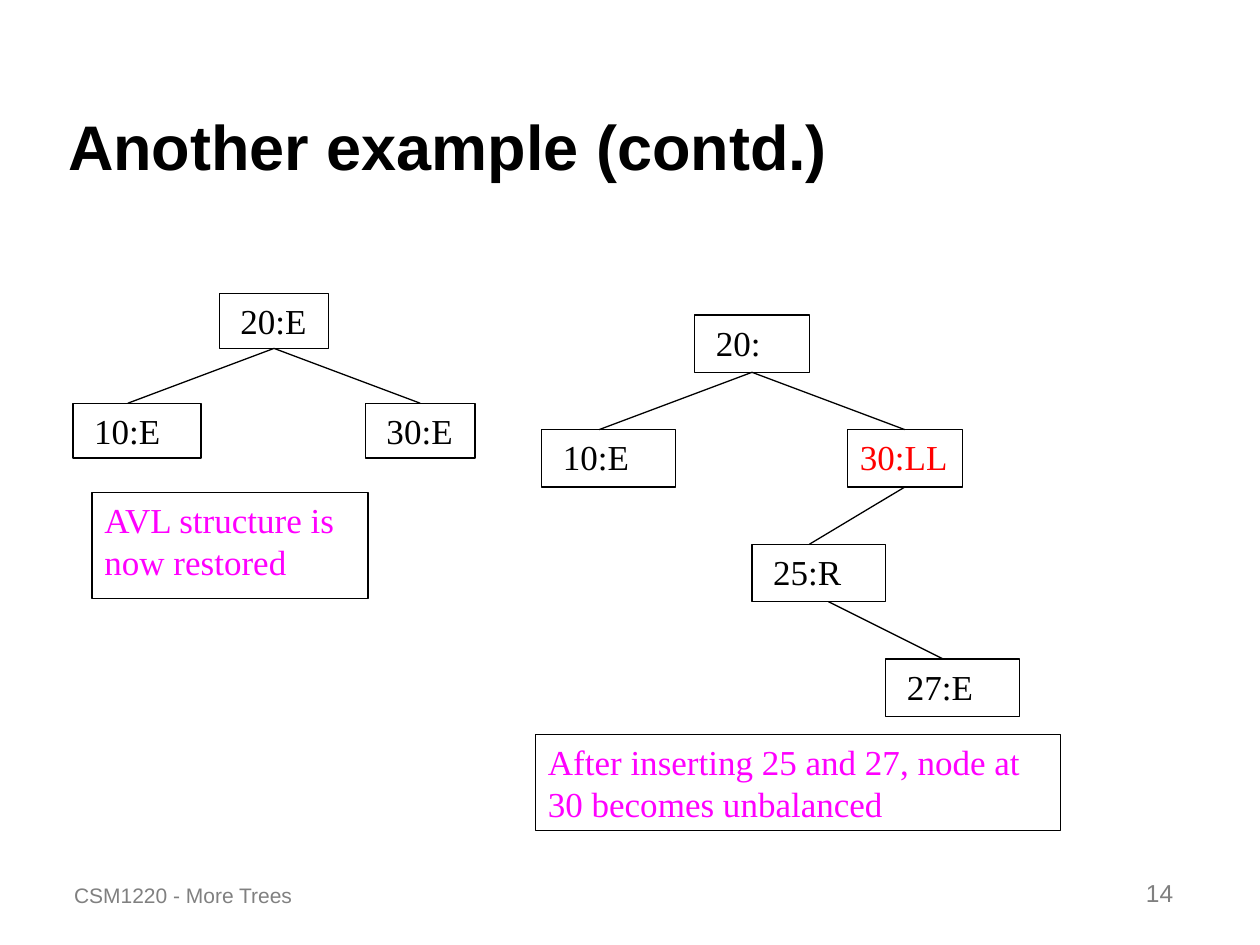
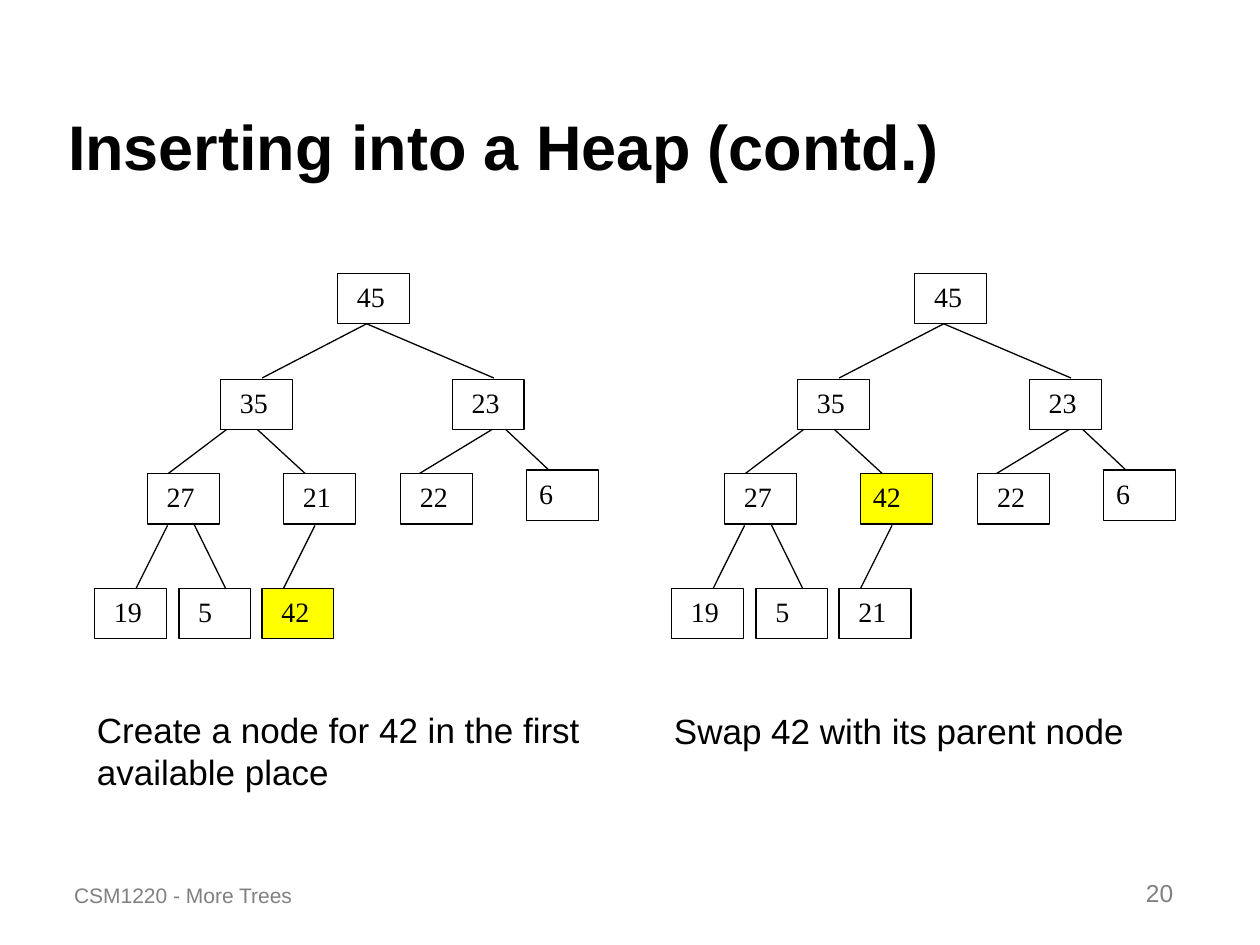
import pptx
import pptx.dml.color
import pptx.enum.shapes
import pptx.enum.text
import pptx.oxml
import pptx.oxml.ns
import pptx.util
from typing import Any, NamedTuple

RGB = pptx.dml.color.RGBColor
BLACK = RGB(0x00, 0x00, 0x00)
WHITE = RGB(0xFF, 0xFF, 0xFF)
GREY = RGB(0x80, 0x80, 0x80)
RED = RGB(0xFF, 0x00, 0x00)
PINK = RGB(0xFF, 0x00, 0xFF)
YELLOW = RGB(0xFF, 0xFF, 0x00)

WIDTH, HEIGHT = pptx.util.Inches(10), pptx.util.Inches(7.5)
COLS, ROWS = 100, 75
EDGE = pptx.util.Pt(0.75)

Anchor = pptx.enum.text.MSO_ANCHOR
Align = pptx.enum.text.PP_ALIGN
Fit = pptx.enum.text.MSO_AUTO_SIZE
TITLE = {"name": "Arial", "size": pptx.util.Pt(36), "bold": True}
NOTE = {"name": "Arial", "size": pptx.util.Pt(20)}
FOOT = {"name": "Arial", "size": pptx.util.Pt(12)}
PAGE = {"name": "Arial", "size": pptx.util.Pt(14)}
LARGE = {"name": "Times New Roman", "size": pptx.util.Pt(20)}
SMALL = {"name": "Times New Roman", "size": pptx.util.Pt(16)}


class Area(NamedTuple):
    """Place and size in columns and rows of the slide grid."""
    col: float
    row: float
    wide: float
    high: float


class Node(NamedTuple):
    """AVL node: column and width in cells, a cell being a third of its height."""
    text: str
    col: int
    level: int
    wide: int = 6
    ink: RGB = BLACK


class Link(NamedTuple):
    top: int
    low: int
    start: int = 3


class Line(NamedTuple):
    col1: float
    row1: float
    col2: float
    row2: float


class Item(NamedTuple):
    """Heap node, placed by its top left corner."""
    text: str
    col: float
    row: float
    fill: RGB = WHITE


def across(col: float) -> int:
    return round(WIDTH * col / COLS)


def down(row: float) -> int:
    return round(HEIGHT * row / ROWS)


def lengths(area: Area) -> tuple[int, int, int, int]:
    return across(area.col), down(area.row), across(area.wide), down(area.high)


def assign(target: Any, values: dict[str, Any]) -> None:
    for key, value in values.items():
        setattr(target, key, value)


def write(shape: Any, text: str, font: dict[str, Any], ink: RGB = BLACK,
          anchor: Any = Anchor.TOP, align: Any = Align.LEFT,
          gap: float = 0, fit: Any = Fit.NONE) -> None:
    frame = shape.text_frame
    assign(frame, {"word_wrap": True, "auto_size": fit,
                   "vertical_anchor": anchor})
    para = frame.paragraphs[0]
    assign(para, {"alignment": align, "space_before": pptx.util.Pt(gap)})
    run = para.add_run()
    run.text = text
    assign(run.font, font)
    run.font.color.rgb = ink


def label(slide: Any, area: Area, text: str, font: dict[str, Any],
          **looks: Any) -> None:
    write(slide.shapes.add_textbox(*lengths(area)), text, font, **looks)


def box(slide: Any, area: Area, text: str, font: dict[str, Any],
        ink: RGB = BLACK, fill: RGB = WHITE) -> Any:
    kind = pptx.enum.shapes.MSO_SHAPE.RECTANGLE
    shape = slide.shapes.add_shape(kind, *lengths(area))
    shape.shadow.inherit = False
    shape.fill.solid()
    shape.fill.fore_color.rgb = fill
    shape.line.color.rgb = BLACK
    shape.line.width = EDGE
    write(shape, text, font, ink)
    return shape


def draw(slide: Any, line: Line) -> Any:
    kind = pptx.enum.shapes.MSO_CONNECTOR.STRAIGHT
    edge = slide.shapes.add_connector(
        kind, across(line.col1), down(line.row1),
        across(line.col2), down(line.row2))
    edge.line.color.rgb = BLACK
    edge.line.width = EDGE
    plain = pptx.oxml.parse_xml(
        f"<a:effectLst {pptx.oxml.ns.nsdecls('a')}/>")
    edge._element.spPr.append(plain)
    return edge


def start(deck: Any, title: str, page: int) -> Any:
    """Add a slide with its title, footer and page number."""
    slide = deck.slides.add_slide(deck.slide_layouts[5])
    head = slide.shapes.title
    keys = ("left", "top", "width", "height")
    assign(head, dict(zip(keys, lengths(Area(4.4, 2.5, 90.6, 12.5)))))
    write(head, title, TITLE, anchor=Anchor.BOTTOM)
    label(slide, Area(4.9, 67.5, 30, 5), "CSM1220 - More Trees", FOOT,
          ink=GREY, anchor=Anchor.BOTTOM, gap=7.5)
    label(slide, Area(73.3, 67.5, 20.8, 5), str(page), PAGE,
          ink=GREY, anchor=Anchor.BOTTOM, align=Align.RIGHT, gap=8.8)
    return slide


def avl(slide: Any, left: float, top: float, high: float,
        nodes: list[Node], links: list[Link]) -> None:
    """Draw a tree on cells of a third of the node height, six to a level."""
    cell = high / 3
    areas = [Area(left + node.col * cell, top + node.level * 6 * cell,
                  node.wide * cell, high) for node in nodes]
    boxes = [box(slide, area, node.text, LARGE, node.ink)
             for node, area in zip(nodes, areas)]
    for link in links:
        above, below = areas[link.top], areas[link.low]
        edge = draw(slide, Line(above.col + link.start * cell,
                                above.row + high,
                                below.col + 3 * cell, below.row))
        if nodes[link.top].wide == 2 * link.start:
            edge.begin_connect(boxes[link.top], 2)
        if nodes[link.low].wide == 6:
            edge.end_connect(boxes[link.low], 0)


BASE = [Node(" 20:E", 8, 0), Node(" 10:E", 0, 1, 7), Node(" 30:E", 16, 1)]
FORK = [Link(0, 1), Link(0, 2)]
GROWN = [Node(" 20:", 8, 0), Node(" 10:E", 0, 1, 7),
         Node("30:LL", 16, 1, ink=RED), Node(" 25:R", 11, 2, 7),
         Node(" 27:E", 18, 3, 7)]

HEAP_LINES = [
    Line(29.1, 25.7, 39.2, 30), Line(29.1, 25.7, 20.8, 30),
    Line(39.3, 33.3, 44.3, 38), Line(39.7, 33.7, 33.1, 37.7),
    Line(20, 33.7, 25, 38.3), Line(18.5, 33.7, 13.2, 37.7),
    Line(15, 40.8, 18.3, 47.5), Line(13.3, 41.7, 10, 48.3),
    Line(25, 41.7, 21.7, 48.3),
]
HEAP_TOP = [
    Item(" 45", 26.8, 21.7), Item(" 35", 17.5, 30.1), Item(" 23", 35.9, 30.1),
    Item(" 27", 11.7, 37.6), Item(" 22", 31.8, 37.6), Item("6", 41.8, 37.3),
    Item(" 19", 7.5, 46.7), Item(" 5", 14.2, 46.7),
]


def heap(slide: Any, shift: float, parent: Item, child: Item) -> None:
    for line in HEAP_LINES:
        draw(slide, line._replace(col1=line.col1 + shift,
                                  col2=line.col2 + shift))
    for item in [*HEAP_TOP, parent, child]:
        box(slide, Area(item.col + shift, item.row, 5.7, 4), item.text,
            SMALL, fill=item.fill)


def main() -> None:
    deck = pptx.Presentation()
    assign(deck, {"slide_width": WIDTH, "slide_height": HEIGHT})

    slide = start(deck, "Another example (contd.)", 14)
    avl(slide, 5.8, 23.3, 4.35, BASE, FORK)
    avl(slide, 43, 25, 4.55, GROWN, [*FORK, Link(2, 3), Link(3, 4, 4)])
    box(slide, Area(7.3, 39.1, 21.9, 8.4),
        "AVL structure is now restored", LARGE, PINK)
    box(slide, Area(42.5, 58.3, 41.7, 7.6),
        "After inserting 25 and 27, node at 30 becomes unbalanced",
        LARGE, PINK)

    slide = start(deck, "Inserting into a Heap (contd.)", 20)
    heap(slide, 0, Item(" 21", 22.5, 37.6), Item(" 42", 20.8, 46.7, YELLOW))
    heap(slide, 45.8, Item("42", 22.5, 37.6, YELLOW), Item(" 21", 20.8, 46.7))
    label(slide, Area(6.7, 55.7, 40.8, 7.7),
          "Create a node for 42 in the first available place", NOTE,
          gap=12.5, fit=Fit.SHAPE_TO_FIT_TEXT)
    label(slide, Area(52.5, 55.8, 40.8, 4.4),
          "Swap 42 with its parent node", NOTE,
          gap=12.5, fit=Fit.SHAPE_TO_FIT_TEXT)

    deck.save("out.pptx")


if __name__ == "__main__":
    main()
